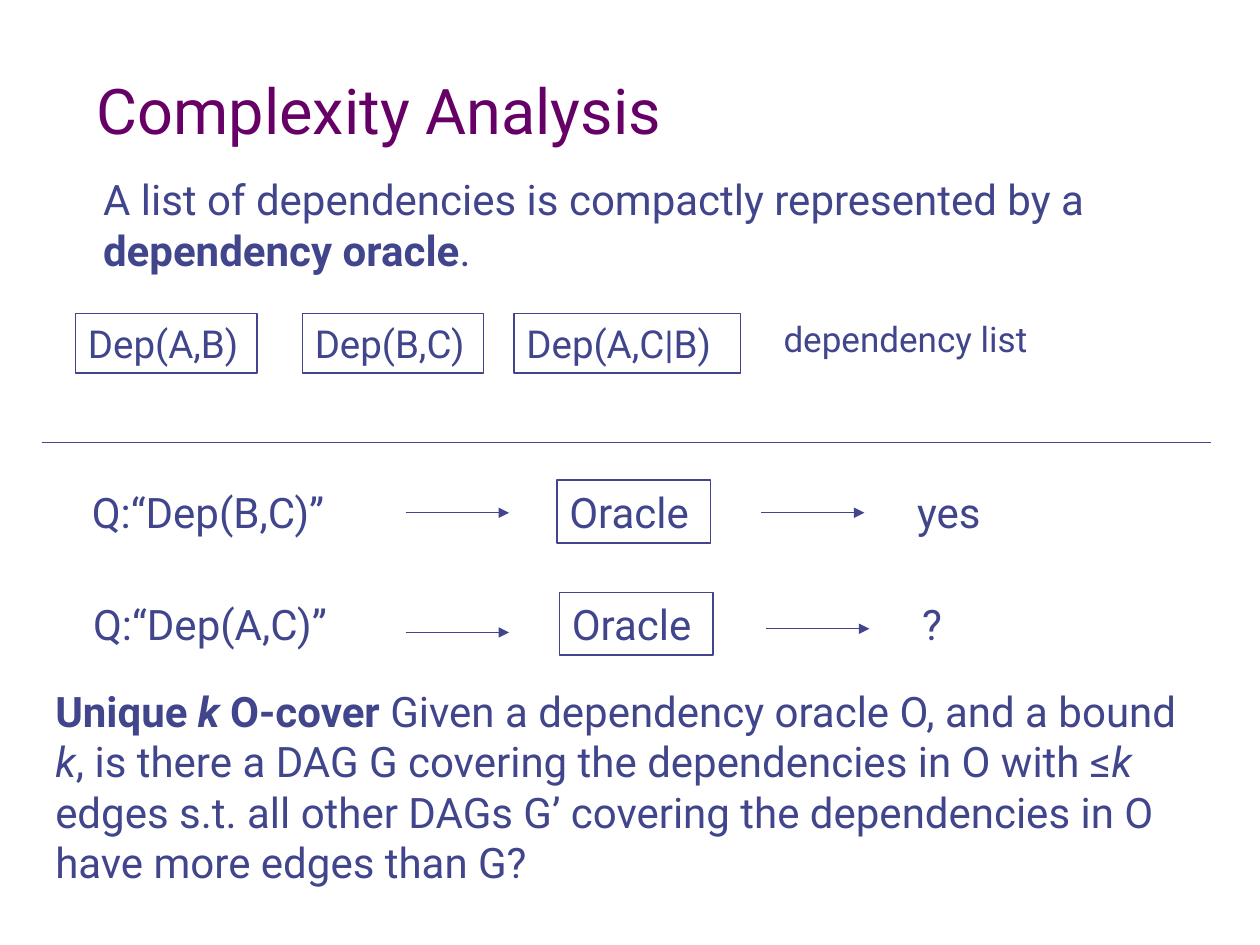
import pptx
import pptx.dml.color
import pptx.enum.shapes
import pptx.enum.text
import pptx.oxml.ns
import pptx.util
import lxml.etree

Inches = pptx.util.Inches
INK = "40458C"
PLUM = "660066"


def color(value):
    return pptx.dml.color.RGBColor.from_string(value)


def add_text(text, left, top, width, height, size=24, ink=INK, boxed=False,
             wrap=False, grow=True, anchor=pptx.enum.text.MSO_ANCHOR.TOP):
    bounds = [Inches(value) for value in (left, top, width, height)]
    if boxed:
        shape = slide.shapes.add_shape(pptx.enum.shapes.MSO_SHAPE.RECTANGLE, *bounds)
        shape.shadow.inherit = False
        shape.fill.background()
        shape.line.color.rgb = color(INK)
        shape.line.width = pptx.util.Pt(0.75)
    else:
        shape = slide.shapes.add_textbox(*bounds)
    frame = shape.text_frame
    frame.word_wrap = wrap
    frame.vertical_anchor = anchor
    if grow:
        frame.auto_size = pptx.enum.text.MSO_AUTO_SIZE.SHAPE_TO_FIT_TEXT
    paragraph = frame.paragraphs[0]
    paragraph.alignment = pptx.enum.text.PP_ALIGN.LEFT
    pieces = [(text, "")] if isinstance(text, str) else text
    for words, style in pieces:
        run = paragraph.add_run()
        run.text = words
        run.font.name = "Roboto"
        run.font.size = pptx.util.Pt(size)
        run.font.color.rgb = color(ink)
        run.font.bold = "b" in style
        run.font.italic = "i" in style


presentation = pptx.Presentation()
presentation.slide_width = Inches(10)
presentation.slide_height = Inches(7.5)
slide = presentation.slides.add_slide(presentation.slide_layouts[6])

add_text("Complexity Analysis", 0.67, 0.33, 8.5, 0.89, size=36, ink=PLUM,
         wrap=True, grow=False, anchor=pptx.enum.text.MSO_ANCHOR.BOTTOM)
add_text([
    ("A list of dependencies is compactly represented by a ", ""),
    ("dependency oracle", "b"),
    (".", ""),
], 0.72, 1.33, 8.57, 0.9, wrap=True)

for dependency, left, width in [
    ("Dep(A,B)", 0.6, 1.44),
    ("Dep(B,C)", 2.4, 1.44),
    ("Dep(A,C|B)", 4.08, 1.8),
]:
    add_text(dependency, left, 2.49, width, 0.47, size=22, boxed=True)
add_text("dependency list", 6.12, 2.47, 2.25, 0.44, size=20)

for query, query_left, oracle_left, answer, answer_left, answer_width, top in [
    ("Q:“Dep(B,C)”", 0.63, 4.42, "yes", 7.18, 0.72, 3.81),
    ("Q:“Dep(A,C)”", 0.64, 4.44, "?", 7.22, 0.34, 4.7),
]:
    add_text(query, query_left, top, 2.22, 0.5)
    add_text("Oracle", oracle_left, top, 1.22, 0.5, boxed=True)
    add_text(answer, answer_left, top, answer_width, 0.5)

for left, top, length, arrow in [
    (0.33, 3.51, 9.28, False),
    (3.22, 4.07, 0.82, True),
    (6.04, 4.07, 0.82, True),
    (3.22, 5.02, 0.82, True),
    (6.08, 4.99, 0.82, True),
]:
    connector = slide.shapes.add_connector(
        pptx.enum.shapes.MSO_CONNECTOR.STRAIGHT,
        Inches(left), Inches(top), Inches(left + length), Inches(top))
    connector.line.color.rgb = color(INK)
    connector.line.width = pptx.util.Pt(0.75)
    if arrow:
        lxml.etree.SubElement(connector.line._get_or_add_ln(),
                              pptx.oxml.ns.qn("a:tailEnd"), type="triangle")
    lxml.etree.SubElement(connector._element.spPr, pptx.oxml.ns.qn("a:effectLst"))

add_text([
    ("Unique ", "b"),
    ("k", "bi"),
    (" O-cover", "b"),
    (" Given a dependency oracle O, and a bound ", ""),
    ("k", "i"),
    (", is there a DAG G covering the dependencies in O with ≤", ""),
    ("k", "i"),
    (" edges s.t. all other DAGs G’ covering the dependencies in O"
     " have more edges than G?", ""),
], 0.34, 5.39, 9.32, 1.7, wrap=True)

presentation.save("out.pptx")
